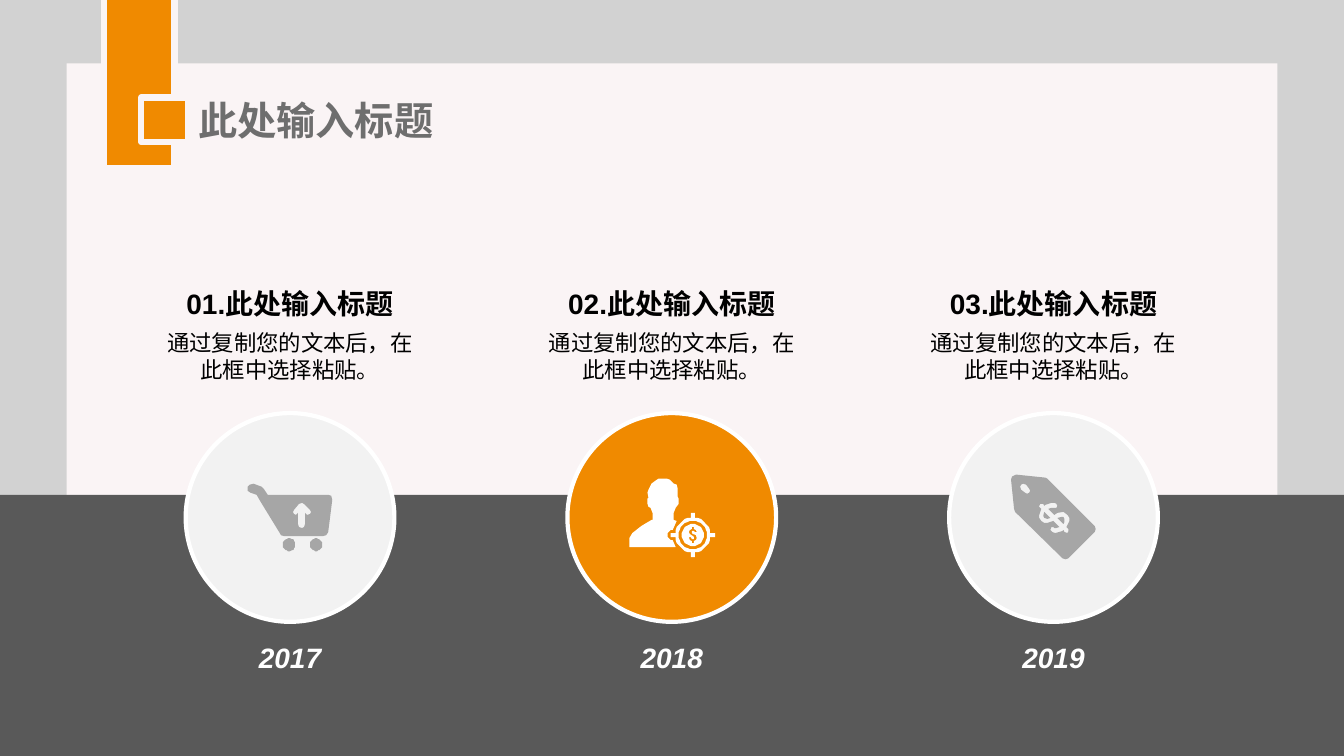
from math import cos, radians, sin

from pptx import Presentation
from pptx.dml.color import RGBColor
from pptx.enum.shapes import MSO_SHAPE as SHAPE
from pptx.enum.text import MSO_ANCHOR as ANCHOR, PP_ALIGN as ALIGN
from pptx.util import Cm, Pt

ORANGE, WHITE, BLACK = "F08A00", "FFFFFF", "000000"
PAPER, PALE, ICON_GRAY = "FAF4F5", "F2F2F2", "A6A6A6"
SLIDE_W, SLIDE_H = 33.87, 19.05


def color(hex_code):
    return RGBColor.from_string(hex_code)


def paint(shape, fill, line=None, line_width=0):
    shape.shadow.inherit = False
    shape.fill.solid()
    shape.fill.fore_color.rgb = color(fill)
    if line:
        shape.line.color.rgb = color(line)
        shape.line.width = Pt(line_width)
    else:
        shape.line.fill.background()


def add_block(slide, box, fill, kind=SHAPE.RECTANGLE, **outline):
    paint(slide.shapes.add_shape(kind, *map(Cm, box)), fill, **outline)


def add_text(slide, box, text, size, ink=BLACK, bold=False, italic=False,
             align=ALIGN.CENTER, anchor=ANCHOR.TOP, spacing=None):
    frame = slide.shapes.add_textbox(*map(Cm, box)).text_frame
    frame.word_wrap = True
    frame.vertical_anchor = anchor
    paragraph = frame.paragraphs[0]
    paragraph.alignment = align
    paragraph.line_spacing = spacing
    run = paragraph.add_run()
    run.text = text
    run.font.name, run.font.size = "Arial", Pt(size)
    run.font.bold, run.font.italic = bold, italic
    run.font.color.rgb = color(ink)


# Icon contours, in hundredths of an inch from the icon's corner
def arc(x, y, radius, start=0, end=360, steps=32):
    angles = [radians(start + (end - start) * i / steps) for i in range(steps + 1)]
    return [(x + radius * cos(a), y + radius * sin(a)) for a in angles]


def cart_contours():
    basket = [(6, 0), (14, 3), (16, 5), (20, 11), (80, 11), (83, 12), (84, 16),
              (80, 48), (78, 51), (75, 52), (36, 52), (33, 51), (32, 49),
              (13, 18), (9, 11), (3, 9), (0.5, 7), (0, 3), (2, 1)]
    arrow = [(54, 19), (51, 20), (46, 26), (45, 28), (46, 30), (48, 31), (50, 29),
             (50, 40), (51, 43), (54, 44), (56, 43), (57, 40), (57, 29),
             (59, 31), (62, 30), (63, 28), (62, 26), (56, 20)]
    return [basket, arrow, arc(41.2, 60.5, 6.2), arc(68, 60.5, 6.2)]


def customer_contours():
    person = [(32, 0), (37, 0), (40, 1), (44, 5), (47, 6), (48.5, 10), (48, 18),
              (49, 20), (49, 25), (46, 29), (44, 34), (44, 41), (47, 42),
              (43, 51), (41, 51), (38, 54), (38, 58), (41, 61), (43, 61),
              (46, 68), (0, 68), (0, 59), (3, 54), (12, 47), (22, 41), (23, 41),
              (23, 34), (21, 29), (19, 28), (18, 25), (18, 20), (19, 19),
              (18.5, 14), (19, 11), (22, 5), (26, 2), (29, 0)]
    dollar = [(62, 48), (62, 50), (60, 51), (59, 53), (60, 55), (63, 57), (64, 58),
              (64, 60), (62, 60), (61, 58), (59, 58), (60, 61), (62, 62), (62, 64),
              (64, 64), (64, 62), (66, 61), (67, 59), (66, 56), (63, 55), (62, 54),
              (62, 52), (64, 52), (65, 53), (67, 53), (66, 51), (64, 50), (64, 48)]
    crosshair = []
    for turn in range(0, 360, 90):
        crosshair += arc(63, 56, 22.1, turn - 5.2, turn + 5.2, 1)
        crosshair += arc(63, 56, 17.6, turn + 6.5, turn + 83.5, 8)
    return [person, crosshair, arc(63, 56, 14), arc(63, 56, 11), dollar]


def tag_contours():
    tag = [(5, 0), (34, 3), (36, 4), (83, 51), (84.5, 54), (83, 57), (57, 83),
           (54, 84.5), (51, 83), (4, 37), (3, 34), (0, 5), (1, 2)]
    slot = [(12, 9), (10, 10), (9, 12), (10, 15), (14, 18), (16, 19), (18, 18),
            (19, 16), (18, 14), (15, 10)]
    dollar = [(40, 28), (34, 30), (33, 31), (32, 29), (29, 29), (28, 31), (28, 32),
              (30, 34), (28, 40), (28, 43), (30, 46), (33, 48), (36, 48), (42, 46),
              (48, 52), (45, 53), (43, 53), (42, 52), (40, 52), (39, 55), (41, 57),
              (44, 58), (51, 56), (52, 55), (53, 57), (56, 58), (57, 56), (57, 54),
              (55, 52), (58, 46), (58, 43), (56, 40), (52, 37), (46, 38), (43, 40),
              (37, 34), (40, 33), (43, 33), (45, 33), (46, 31), (45, 29), (43, 28)]
    upper_gap = [(33, 37), (39, 43), (36, 44), (33, 43), (32, 41)]
    lower_gap = [(50, 42), (52, 42), (53, 44), (53, 47), (52, 49), (46, 43)]
    return [tag, slot, dollar, upper_gap, lower_gap]


def add_icon(slide, left, top, contours, fill):
    outline = None
    for start, *rest in contours:
        if outline is None:
            outline = slide.shapes.build_freeform(*start, scale=Cm(2.54) / 100)
        else:
            outline.move_to(*start)
        outline.add_line_segments(rest, close=True)
    paint(outline.convert_to_shape(Cm(left), Cm(top)), fill)


# Backdrop: gray wall, paper panel and dark floor
def add_backdrop(slide, width, height):
    margin, floor_top = 1.68, 12.47
    add_block(slide, (0, 0, width, height), "D2D2D2")
    add_block(slide, (margin, 1.6, width - 2 * margin, 15.82), PAPER)
    add_block(slide, (0, floor_top, width, height - floor_top), "595959")


# Title with its ribbon and square marker
def add_title(slide, left, top, title):
    edge = dict(line=PAPER, line_width=4.5)
    add_block(slide, (left, top, 1.78, 4.8), ORANGE, **edge)
    add_text(slide, (left + 2.13, top + 3.1, 8.03, 0.97), title, 28, ink="6E6E6E",
             bold=True, align=ALIGN.LEFT, anchor=ANCHOR.MIDDLE)
    add_block(slide, (left + 0.94, top + 3.02, 1.19, 1.12), ORANGE, **edge)


# One year: heading, text, icon in a circle, year
def add_milestone(slide, left, top, width, heading, body, year, disc_fill,
                  contours, icon_fill, icon_drop):
    disc, year_width = 5.26, 2.14
    inner_left = left + (width - year_width) / 2
    add_block(slide, (left + (width - disc) / 2, top + 3.33, disc, disc), disc_fill,
              SHAPE.OVAL, line=WHITE, line_width=3)
    add_text(slide, (left, top + 1.1, width, 1.68), body, 16)
    add_text(slide, (left, top, width, 1.1), heading, 20, bold=True,
             anchor=ANCHOR.BOTTOM, spacing=1.2)
    add_icon(slide, inner_left, top + icon_drop, contours, icon_fill)
    add_text(slide, (inner_left, top + 8.82, year_width, 1.18), year, 20, ink=WHITE,
             bold=True, italic=True, anchor=ANCHOR.MIDDLE, spacing=1.2)


def main():
    deck = Presentation()
    deck.slide_width, deck.slide_height = Cm(SLIDE_W), Cm(SLIDE_H)
    slide = deck.slides.add_slide(deck.slide_layouts[6])

    title = "此处输入标题"
    body = "通过复制您的文本后，在此框中选择粘贴。"
    milestones = [
        ("2017", PALE, cart_contours(), ICON_GRAY, 5.11),
        ("2018", ORANGE, customer_contours(), WHITE, 4.98),
        ("2019", PALE, tag_contours(), ICON_GRAY, 4.88),
    ]
    add_backdrop(slide, SLIDE_W, SLIDE_H)
    for i, milestone in enumerate(milestones):
        add_milestone(slide, 3.93 + 9.62 * i, 7.08, 6.76, f"{i + 1:02}.{title}",
                      body, *milestone)
    add_title(slide, 2.62, -0.56, title)
    deck.save("out.pptx")


if __name__ == "__main__":
    main()
